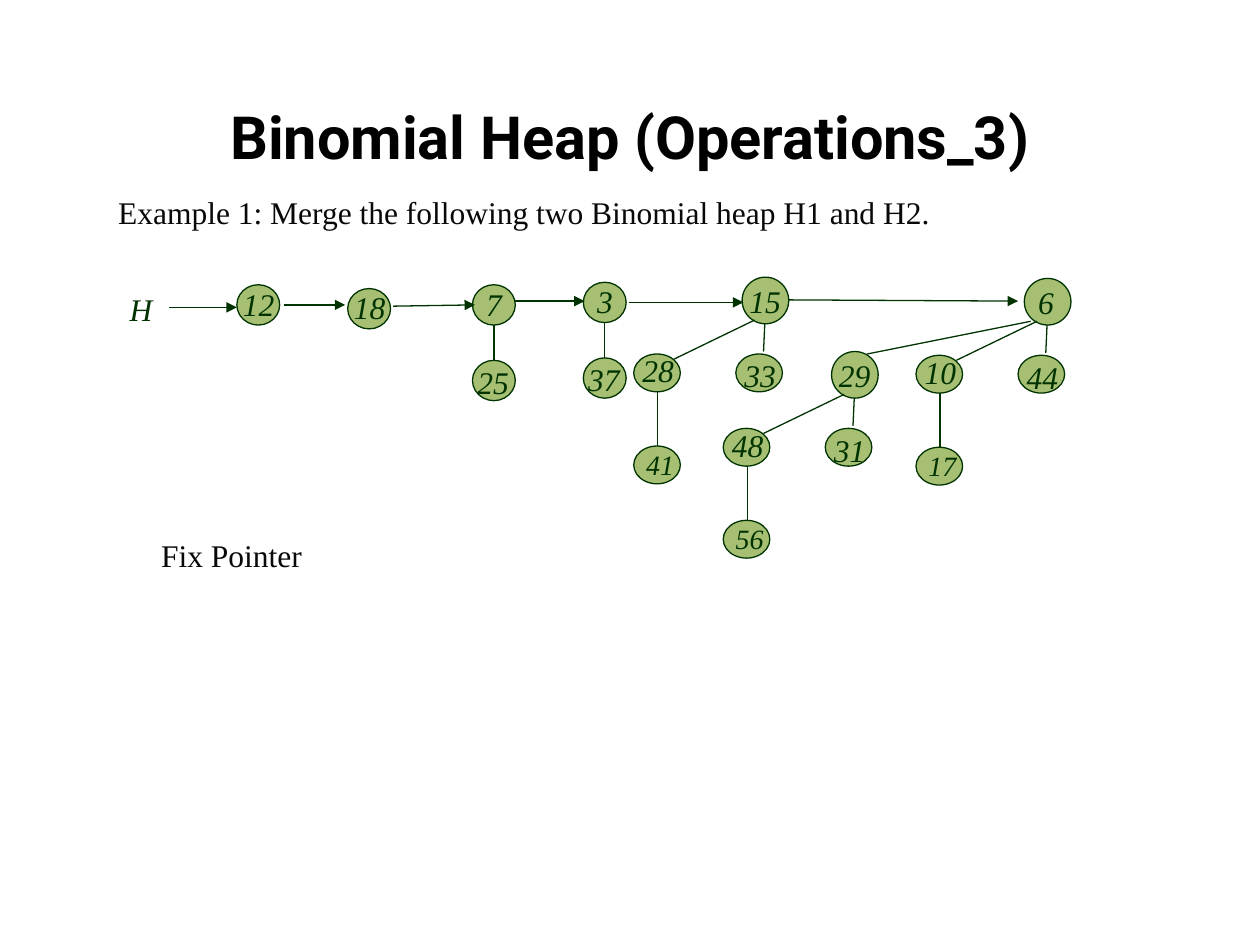
"""Build the slide that shows a binomial heap after merging, with its pointers fixed."""
from dataclasses import dataclass

from lxml.etree import SubElement
from pptx import Presentation
from pptx.dml.color import RGBColor
from pptx.enum.shapes import MSO_CONNECTOR, MSO_SHAPE
from pptx.enum.text import MSO_ANCHOR, PP_ALIGN
from pptx.oxml.ns import qn
from pptx.slide import Slide
from pptx.text.text import Font
from pptx.util import Inches, Pt


@dataclass(frozen=True)
class Style:
    size: float
    color: RGBColor
    font: str = "Times New Roman"
    bold: bool = False
    italic: bool = False


@dataclass(frozen=True)
class Theme:
    ink: RGBColor = RGBColor(0x00, 0x33, 0x00)
    node: RGBColor = RGBColor(0xA6, 0xBF, 0x73)
    line: float = 0.75
    title: Style = Style(34, RGBColor(0, 0, 0), "Roboto", bold=True)
    body: Style = Style(18, RGBColor(8, 8, 8))
    key: Style = Style(18, ink, italic=True)
    deep_key: Style = Style(16, ink, italic=True)


THEME = Theme()


@dataclass(frozen=True)
class Node:
    """An ellipse and its label, both placed relative to the tree's root."""
    x: float
    y: float
    w: float
    h: float
    label_x: float
    label_y: float
    label_w: float
    style: Style = THEME.key


@dataclass(frozen=True)
class Line:
    x1: float
    y1: float
    x2: float
    y2: float
    arrow: bool = False


@dataclass(frozen=True)
class Shape:
    nodes: tuple[Node, ...]
    edges: tuple[Line, ...] = ()


@dataclass(frozen=True)
class Tree:
    x: float
    y: float
    shape: Shape
    keys: tuple[str, ...]
    root_shift: float = 0


ORDER_0 = Shape((Node(0, 0, 0.34, 0.32, -0.05, -0.05, 0.55),))
ORDER_1 = Shape(
    (Node(0, 0, 0.34, 0.32, 0.01, -0.05, 0.42),
     Node(0, 0.6, 0.34, 0.32, -0.06, 0.57, 0.47)),
    (Line(0.17, 0.32, 0.17, 0.6),),
)
ORDER_2 = Shape(
    (Node(0, 0, 0.37, 0.37, -0.04, -0.01, 0.47),
     Node(-0.05, 0.61, 0.37, 0.3, -0.08, 0.58, 0.49),
     Node(-0.86, 0.61, 0.37, 0.3, -0.89, 0.54, 0.47),
     Node(-0.86, 1.34, 0.37, 0.3, -0.86, 1.3, 0.59, THEME.deep_key)),
    (Line(0.18, 0.37, 0.17, 0.59),
     Line(-0.54, 0.65, 0.1, 0.34),
     Line(-0.67, 0.91, -0.67, 1.34)),
)

TREES = (
    Tree(1.88, 2.26, ORDER_0, ("12",)),
    Tree(2.76, 2.29, ORDER_0, ("18",)),
    Tree(3.75, 2.26, ORDER_1, ("7", "25")),
    Tree(4.63, 2.24, ORDER_1, ("3", "37")),
    Tree(5.89, 2.2, ORDER_2, ("15", "33", "28", "41")),
    Tree(8.13, 2.21, ORDER_2, ("6", "44", "10", "17"), root_shift=0.05),
    Tree(6.6, 2.79, ORDER_2, ("29", "31", "48", "56")),
)
LINKS = (
    Line(1.34, 2.44, 1.88, 2.44, arrow=True),
    Line(2.25, 2.42, 2.74, 2.42, arrow=True),
    Line(3.12, 2.43, 3.77, 2.42, arrow=True),
    Line(4.09, 2.39, 4.64, 2.39, arrow=True),
    Line(4.99, 2.4, 5.9, 2.4, arrow=True),
    Line(6.26, 2.38, 8.08, 2.39, arrow=True),
    Line(6.88, 2.81, 8.18, 2.55),
)


def set_font(font: Font, style: Style) -> None:
    font.name, font.size = style.font, Pt(style.size)
    font.bold, font.italic = style.bold, style.italic
    font.color.rgb = style.color


def add_text(s: Slide, text: str, x: float, y: float, w: float, h: float, style: Style,
             align: PP_ALIGN = PP_ALIGN.LEFT, anchor: MSO_ANCHOR = MSO_ANCHOR.TOP,
             spacing: float = 1.0) -> None:
    tf = s.shapes.add_textbox(Inches(x), Inches(y), Inches(w), Inches(h)).text_frame
    tf.word_wrap = True
    tf.vertical_anchor = anchor
    p = tf.paragraphs[0]
    p.alignment, p.line_spacing = align, spacing
    r = p.add_run()
    r.text = text
    set_font(r.font, style)


def add_line(s: Slide, line: Line, x: float = 0, y: float = 0) -> None:
    cn = s.shapes.add_connector(MSO_CONNECTOR.STRAIGHT, Inches(x + line.x1), Inches(y + line.y1),
                                Inches(x + line.x2), Inches(y + line.y2))
    cn.line.color.rgb = THEME.ink
    cn.line.width = Pt(THEME.line)
    if line.arrow:
        SubElement(cn.line._get_or_add_ln(), qn("a:tailEnd"), type="triangle")
    SubElement(cn._element.spPr, qn("a:effectLst"))


def add_ellipse(s: Slide, x: float, y: float, w: float, h: float) -> None:
    sp = s.shapes.add_shape(MSO_SHAPE.OVAL, Inches(x), Inches(y), Inches(w), Inches(h))
    sp.shadow.inherit = False
    sp.fill.solid()
    sp.fill.fore_color.rgb = THEME.node
    sp.line.color.rgb = THEME.ink
    sp.line.width = Pt(THEME.line)
    set_font(sp.text_frame.paragraphs[0].font, THEME.key)


def add_tree(s: Slide, tree: Tree) -> None:
    for i, (node, key) in enumerate(zip(tree.shape.nodes, tree.keys)):
        shift = tree.root_shift if i == 0 else 0
        add_ellipse(s, tree.x + node.x, tree.y + node.y, node.w, node.h)
        add_text(s, key, tree.x + node.label_x + shift, tree.y + node.label_y,
                 node.label_w, 0.4, node.style)
    for edge in tree.shape.edges:
        add_line(s, edge, tree.x, tree.y)


def main() -> None:
    prs = Presentation()
    prs.slide_width, prs.slide_height = Inches(10), Inches(7.5)
    s = prs.slides.add_slide(prs.slide_layouts[6])
    add_text(s, "Binomial Heap (Operations_3)", 0.5, 0.68, 9, 0.79, THEME.title,
             PP_ALIGN.CENTER, MSO_ANCHOR.MIDDLE)
    add_text(s, "Example 1: Merge the following two Binomial heap H1 and H2.",
             0.84, 1.48, 7.86, 0.62, THEME.body, PP_ALIGN.JUSTIFY)
    add_text(s, "H", 0.93, 2.25, 0.61, 0.4, THEME.key)
    for tree in TREES:
        add_tree(s, tree)
    for link in LINKS:
        add_line(s, link)
    add_text(s, "Fix Pointer", 1.18, 4.24, 2.32, 0.37, THEME.body, spacing=0.9)
    prs.save("out.pptx")


if __name__ == "__main__":
    main()
